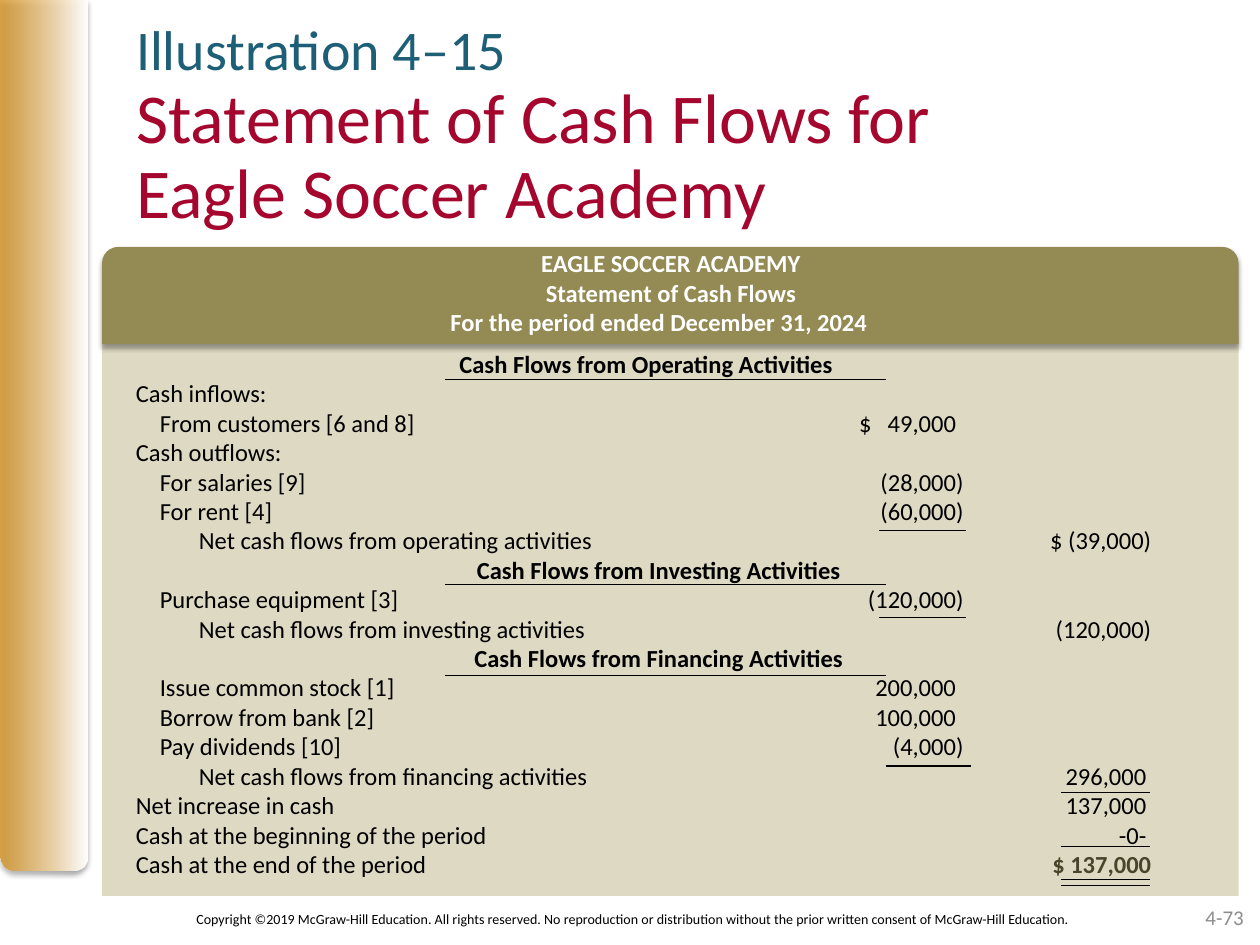
"""Build the statement of cash flows slide for Eagle Soccer Academy."""
from lxml import etree
from pptx import Presentation, util as u
from pptx.dml import color
from pptx.enum import shapes, text
from pptx.oxml import ns

COLORS = {"gold": "D49323", "white": "FFFFFF", "teal": "1D5F76", "crimson": "A5062D",
          "olive": "948A54", "sand": "DDD9C3", "ink": "000000", "total": "4A452A",
          "number": "8C8C8C"}
FONT = "Calibri"
TITLE = [["Illustration 4–15", "Statement of Cash Flows for"], ["Eagle Soccer Academy"]]
HEADING = ["EAGLE SOCCER ACADEMY", "Statement of Cash Flows",
           "For the period ended December 31, 2024\t"]
COPYRIGHT = ("Copyright ©2019 McGraw-Hill Education. All rights reserved. No reproduction or "
             "distribution without the prior written consent of McGraw-Hill Education.")
PAGE = "4-73"

INDENTS = {1: 0.19, 2: 0.5}
DOLLAR_STOP = 5.74
STOPS = {"first section": (4.05, "ctr"), "section": (4.15, "ctr"),
         "inflow": (6.51, "r"), "outflow": (6.57, "r"),
         "net": (8.06, "r"), "plain net": (8.02, "r")}
STATEMENT = [
    (0, "", "first section", "Cash Flows from Operating Activities"),
    (0, "Cash inflows:", None, ""),
    (1, "From customers [6 and 8]", "inflow", "$\t49,000"),
    (0, "Cash outflows:", None, ""),
    (1, "For salaries [9]", "outflow", "(28,000)"),
    (1, "For rent [4]", "outflow", "(60,000)"),
    (2, "Net cash flows from operating activities", "net", "$ (39,000)"),
    (0, "", "section", "Cash Flows from Investing Activities"),
    (1, "Purchase equipment [3]", "outflow", "(120,000)"),
    (2, "Net cash flows from investing activities", "net", "(120,000)"),
    (0, "", "section", "Cash Flows from Financing Activities"),
    (1, "Issue common stock [1]", "inflow", "200,000"),
    (1, "Borrow from bank [2]", "inflow", "100,000"),
    (1, "Pay dividends [10]", "outflow", "(4,000)"),
    (2, "Net cash flows from financing activities", "plain net", "296,000"),
    (0, "Net increase in cash", "plain net", "137,000"),
    (0, "Cash at the beginning of the period", "plain net", "-0-"),
    (0, "Cash at the end of the period", "net", "$ 137,000"),
]
RULES = [
    (3.53, 3.5, [3.01, 4.64, 5.36]),
    (6.98, 0.69, [4.21, 4.9]),
    (7.03, 0.68, [6.08]),
    (8.42, 0.71, [6.29, 6.72, 6.98, 7.03]),
]


def rgb(name):
    return color.RGBColor.from_string(COLORS[name])


def inches(*lengths):
    return [u.Inches(length) for length in lengths]


def add(parent, tag, **attributes):
    return etree.SubElement(parent, ns.qn(tag), attributes)


def style(runs, size, ink, bold=False):
    for run in runs:
        font = run.font
        font.name, font.size, font.bold = FONT, u.Pt(size), bold
        font.color.rgb = rgb(ink)


def add_panel(slide, kind, box, fill, shadow=False):
    panel = slide.shapes.add_shape(kind, *inches(*box))
    panel.shadow.inherit = False
    panel.line.fill.background()
    panel.fill.solid()
    panel.fill.fore_color.rgb = rgb(fill)
    if shadow:
        effects = panel._element.spPr.find(ns.qn("a:effectLst"))
        outer = add(effects, "a:outerShdw", blurRad=str(u.Pt(3.1)), dist=str(u.Pt(1.8)),
                    dir="5400000", rotWithShape="0")
        add(add(outer, "a:srgbClr", val=COLORS["ink"]), "a:alpha", val="35000")
    return panel


def add_text(slide, box, lines, size, ink, align=None, bold=False):
    frame = slide.shapes.add_textbox(*inches(*box)).text_frame
    frame.word_wrap = True
    frame.text = "\n".join(lines)
    for paragraph in frame.paragraphs:
        paragraph.alignment = align
        style(paragraph.runs, size, ink, bold)
    return frame


def add_sidebar(slide):
    sidebar = add_panel(slide, shapes.MSO_SHAPE.ROUND_2_SAME_RECTANGLE,
                        (0, 0, 0.69, 6.91), "gold", shadow=True)
    sidebar._element.spPr.find(ns.qn("a:xfrm")).set("flipV", "1")
    sidebar.fill.gradient()
    sidebar.fill.gradient_angle = 0
    for stop, name, position in zip(sidebar.fill.gradient_stops, ("gold", "white"), (0, 1)):
        stop.color.rgb = rgb(name)
        stop.position = position
    first = sidebar._element.spPr.find(".//" + ns.qn("a:gs"))
    add(first[0], "a:alpha", val="80000")


def add_title(slide):
    title = slide.shapes.title
    title.left, title.top, title.width, title.height = inches(0.98, 0.59, 9, 0.85)
    frame = title.text_frame
    frame.text = "\n".join("\v".join(lines) for lines in TITLE)
    frame.auto_size = text.MSO_AUTO_SIZE.NONE
    frame.vertical_anchor = text.MSO_ANCHOR.MIDDLE
    for paragraph in frame.paragraphs:
        paragraph.alignment = text.PP_ALIGN.LEFT
        paragraph.line_spacing = 0.9
        style(paragraph.runs, 40, "crimson")
    opening = frame.paragraphs[0]
    style(opening.runs[:1], 32, "teal")
    add(opening._p.find(ns.qn("a:br")), "a:rPr", sz="3200")


def add_statement(slide):
    lines = []
    for level, label, column, amount in STATEMENT:
        lines.append(("\t" if level else "") + label + ("\t" + amount if column else ""))
    frame = add_text(slide, (0.98, 2.72, 8.85, 4.34), lines, 14, "ink")
    for paragraph, (level, label, column, amount) in zip(frame.paragraphs, STATEMENT):
        stops = [(INDENTS[level], "l")] if level else []
        if "\t" in amount:
            stops.append((DOLLAR_STOP, "l"))
        if column:
            stops.append(STOPS[column])
        tabs = add(paragraph._p.get_or_add_pPr(), "a:tabLst")
        for position, align in stops:
            add(tabs, "a:tab", pos=str(u.Inches(position)), algn=align)
        if not label:
            style(paragraph.runs, 14, "ink", bold=True)
    closing = frame.paragraphs[-1]
    label, amount = STATEMENT[-1][1], STATEMENT[-1][3]
    closing.runs[0].text = label + "\t"
    total = closing.add_run()
    total.text = amount
    style([total], 14, "total", bold=True)


def add_rules(slide):
    for left, width, tops in RULES:
        for top in tops:
            rule = slide.shapes.add_connector(shapes.MSO_CONNECTOR.STRAIGHT,
                                              *inches(left, top, left + width, top))
            rule.line.color.rgb = rgb("ink")
            rule.line.width = u.Pt(0.75)
            add(rule._element.spPr, "a:effectLst")


def main():
    deck = Presentation()
    deck.slide_width, deck.slide_height = inches(10, 7.5)
    slide = deck.slides.add_slide(deck.slide_layouts[5])
    add_panel(slide, shapes.MSO_SHAPE.RECTANGLE, (0.81, 2.66, 9.02, 4.45), "sand")
    add_sidebar(slide)
    add_text(slide, (1.46, 7.18, 7.63, 0.24), [COPYRIGHT], 8, "ink")
    number = add_text(slide, (7.64, 7.08, 2.33, 0.4), [PAGE], 12, "number",
                      text.PP_ALIGN.RIGHT)
    number.vertical_anchor = text.MSO_ANCHOR.MIDDLE
    add_title(slide)
    add_panel(slide, shapes.MSO_SHAPE.ROUND_2_SAME_RECTANGLE,
              (0.81, 1.96, 9.02, 0.77), "olive", shadow=True)
    add_text(slide, (0.9, 1.92, 8.85, 0.81), HEADING, 14, "white",
             text.PP_ALIGN.CENTER, bold=True)
    add_statement(slide)
    add_rules(slide)
    deck.save("out.pptx")


if __name__ == "__main__":
    main()
